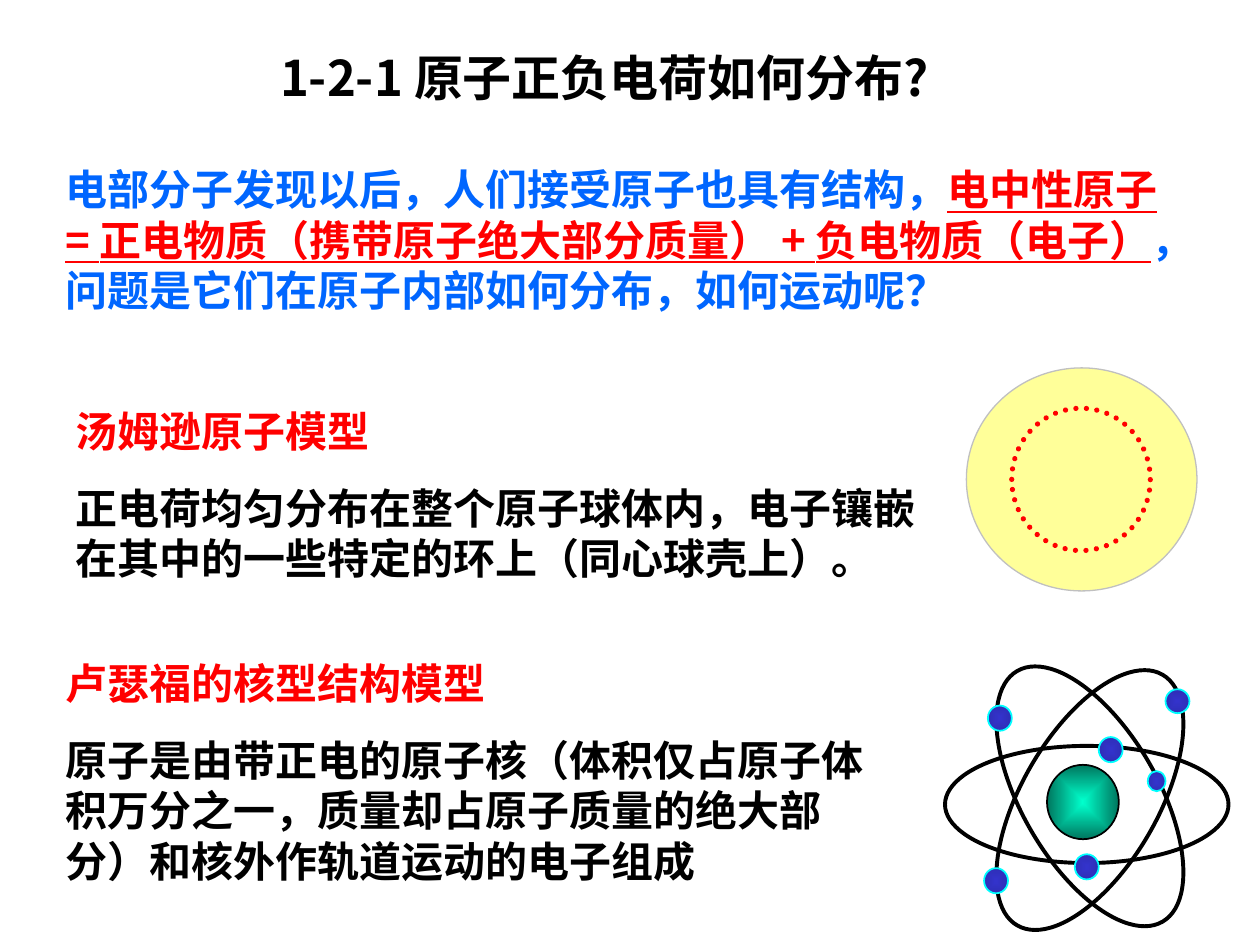
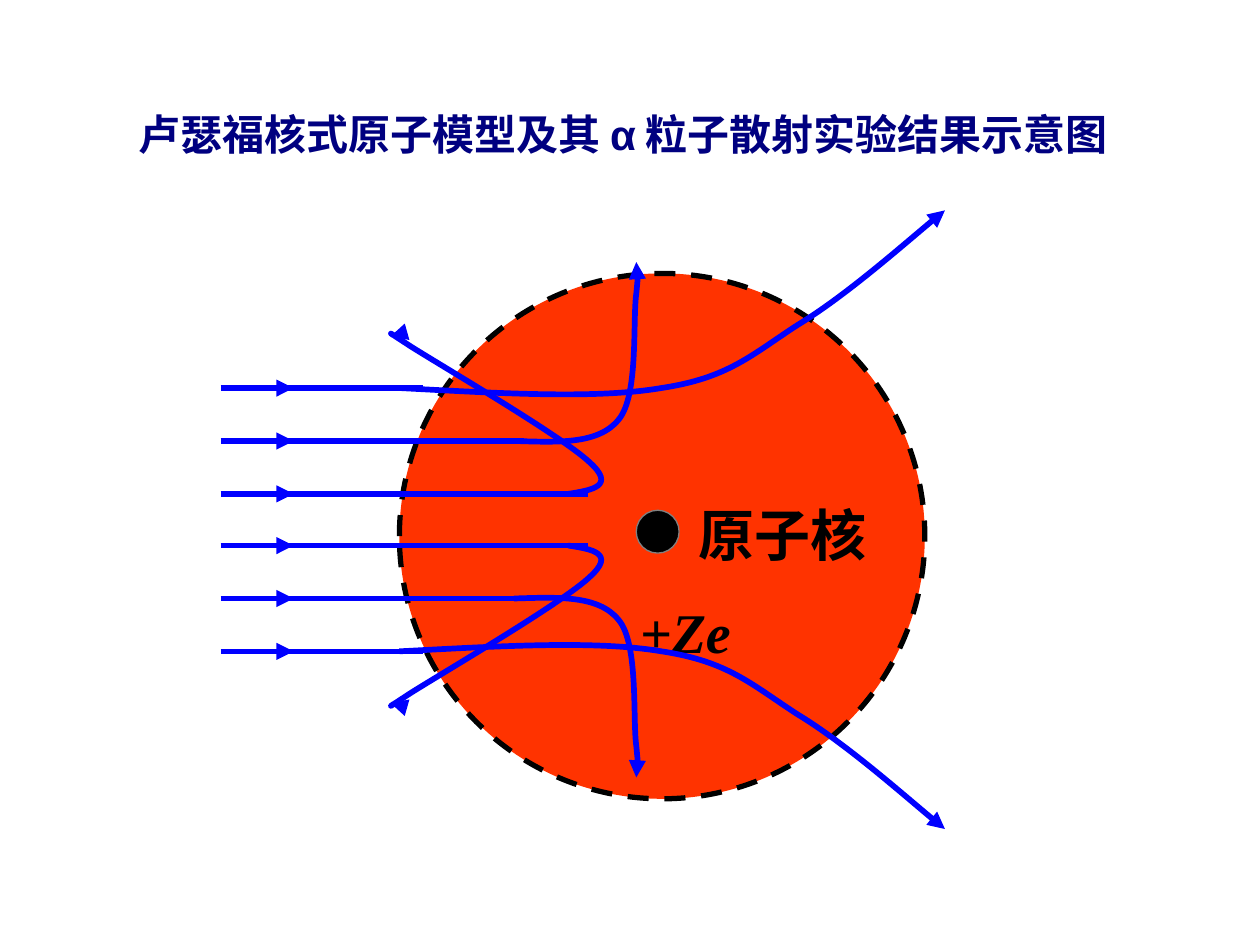
import pptx
import pptx.dml.color
import pptx.enum.dml
import pptx.enum.shapes
import pptx.enum.text
import pptx.oxml.ns
import pptx.util
from lxml import etree

Inches, Pt = pptx.util.Inches, pptx.util.Pt
qn = pptx.oxml.ns.qn
hue = pptx.dml.color.RGBColor.from_string
DASH = pptx.enum.dml.MSO_LINE
OVAL = pptx.enum.shapes.MSO_SHAPE.OVAL
LINE = pptx.enum.shapes.MSO_CONNECTOR.STRAIGHT
MID = pptx.enum.text.PP_ALIGN.CENTER

# Shared colours and fonts
BLACK, RED, BLUE, SKY, NAVY = "000000", "FF0000", "0000FF", "0066FF", "000080"
HAN, SERIF, SANS = "Noto Sans CJK SC", "Times New Roman", "Arial"


def write(frame, text, size=24, color=BLACK, font=HAN, italic=False,
          under=False, align=None, before=0, new=False):
    """Add a bold run, in a new paragraph if asked."""
    para = frame.add_paragraph() if new else frame.paragraphs[-1]
    para.space_before = Pt(before)
    if align is not None:
        para.alignment = align
    run = para.add_run()
    run.text = text
    face = run.font
    face.size, face.name, face.bold = Pt(size), font, True
    face.italic, face.underline = italic, under
    face.color.rgb = hue(color)
    east = etree.SubElement(run._r.get_or_add_rPr(), qn("a:ea"))
    east.set("typeface", HAN)


def paint(shape, line, width, fill=None, edge=None, dash=None, arrow=False):
    """Style a shape or line; edge makes the fill a gradient."""
    props = shape._element.spPr
    shape.line.color.rgb = hue(line)
    shape.line.width = Pt(width)
    if dash:
        shape.line.dash_style = dash
    if arrow:
        etree.SubElement(shape.line._get_or_add_ln(), qn("a:tailEnd")).set("type", "triangle")
    if hasattr(shape, "fill"):
        shape.shadow.inherit = False
        if edge:
            shape.fill.gradient()
            for stop, tone in zip(shape.fill.gradient_stops, (fill, edge)):
                stop.color.rgb = hue(tone)
            grad = props.find(qn("a:gradFill"))
            grad.remove(grad.find(qn("a:lin")))
            glow = etree.SubElement(grad, qn("a:path"))
            glow.set("path", "rect")
            rect = etree.SubElement(glow, qn("a:fillToRect"))
            for side in "ltrb":
                rect.set(side, "50000")
        elif fill:
            shape.fill.solid()
            shape.fill.fore_color.rgb = hue(fill)
        else:
            shape.fill.background()
    else:
        etree.SubElement(props, qn("a:effectLst"))


deck = pptx.Presentation()
deck.slide_width, deck.slide_height = Inches(10), Inches(7.5)

# Both slides with their titles
heads = [
    ((2.03, 0.33, 5.62, 0.57), 28, BLACK, [("1-2-1 原子正负电荷如何分布? ", HAN)]),
    ((1, 0.81, 7.89, 0.92), 24, NAVY,
     [("卢瑟福核式原子模型及其 ", HAN), ("α", SANS), (" 粒子散射实验结果示意图", HAN)]),
]
for place, size, color, runs in heads:
    slide = deck.slides.add_slide(deck.slide_layouts[5])
    title = slide.shapes.title
    title.left, title.top, title.width, title.height = map(Inches, place)
    frame = title.text_frame
    frame.auto_size = pptx.enum.text.MSO_AUTO_SIZE.NONE
    frame.vertical_anchor = pptx.enum.text.MSO_ANCHOR.TOP
    frame.word_wrap = True
    for text, font in runs:
        write(frame, text, size=size, color=color, font=font, align=MID)
first, second = (slide.shapes for slide in deck.slides)

# Slide 1: ball with its ring of electrons
ball = first.add_shape(OVAL, *map(Inches, (7.67, 2.92, 1.83, 1.77)))
paint(ball, "C0C0C0", 0.75, fill="FFFF99")
ring = first.add_shape(OVAL, *map(Inches, (8.03, 3.24, 1.1, 1.13)))
paint(ring, RED, 3, fill="FFFF99", dash=DASH.ROUND_DOT)
ring.line._get_or_add_ln().set("cap", "rnd")

# Slide 1: core, orbits and electrons
core = first.add_shape(OVAL, *map(Inches, (8.31, 6.07, 0.57, 0.59)))
paint(core, BLACK, 1, fill="00FFCC", edge="00765E")
for place, turn in [((8.11, 5.2, 1.08, 2.3), 30.1),
                    ((7.5, 5.92, 2.25, 0.93), 0),
                    ((8.11, 5.17, 1.08, 2.3), 329.9)]:
    orbit = first.add_shape(OVAL, *map(Inches, place))
    orbit.rotation = turn
    paint(orbit, BLACK, 2.25)
for left, top, wide, high in [(9.25, 5.47, 0.19, 0.19), (8.53, 6.78, 0.19, 0.2),
                              (7.81, 6.89, 0.19, 0.2), (8.72, 5.85, 0.19, 0.2),
                              (7.84, 5.6, 0.19, 0.2), (9.11, 6.12, 0.14, 0.16)]:
    dot = first.add_shape(OVAL, Inches(left), Inches(top), Inches(wide), Inches(high))
    paint(dot, "00FFFF", 1, fill="3333CC", edge="2E2EB6")

# Slide 1: the two models
models = [
    ((0.5, 3.17, 6.92, 1.51), "汤姆逊原子模型", HAN,
     "正电荷均匀分布在整个原子球体内，电子镶嵌在其中的一些特定的环上（同心球壳上）。"),
    ((0.42, 5.17, 6.75, 1.91), "卢瑟福的核型结构模型", SERIF,
     "原子是由带正电的原子核（体积仅占原子体积万分之一，质量却占原子质量的绝大部分）"
     "和核外作轨道运动的电子组成"),
]
for place, name, font, text in models:
    frame = first.add_textbox(*map(Inches, place)).text_frame
    frame.word_wrap = True
    write(frame, name, color=RED, font=font, before=15)
    write(frame, text, before=15, new=True)

# Slide 1: opening question
frame = first.add_textbox(*map(Inches, (0.42, 1.25, 9.08, 1.3))).text_frame
frame.word_wrap = True
write(frame, "电部分子发现以后，人们接受原子也具有结构，", color=SKY)
write(frame, "电中性原子 = 正电物质（携带原子绝大部分质量） + 负电物质（电子）",
      color=RED, under=True)
write(frame, "，问题是它们在原子内部如何分布，如何运动呢？", color=SKY)

# Slide 2: atom, nucleus and labels
atom = second.add_shape(OVAL, *map(Inches, (3.17, 2.17, 4.17, 4.17)))
paint(atom, BLACK, 3, fill="FF3300", dash=DASH.DASH)
core = second.add_shape(OVAL, *map(Inches, (5.05, 4.05, 0.34, 0.34)))
paint(core, "808080", 0.75, fill=BLACK)
for place, text, italic, before, wrap in [
        ((4.98, 4.69, 0.92, 0.64), "+Ze", True, 8, False),
        ((5.42, 3.92, 1.58, 0.64), "原子核", False, 20, True)]:
    frame = second.add_textbox(*map(Inches, place)).text_frame
    frame.word_wrap = wrap
    write(frame, text, size=32, font=SERIF, italic=italic, align=MID, before=before)

# Slide 2: each ray has a height, a straight span and a curve (start, then Bezier points)
rays = [
    (3.92, 1.83, 4.67, [(4.51, 3.92), (4.7, 3.89), (4.89, 3.86), (4.68, 3.67), (4.47, 3.47),
                        (3.53, 2.92), (3.26, 2.75), (3, 2.58), (3.05, 2.62), (3.1, 2.67)]),
    (3.5, 2.14, 4.16, [(4.08, 3.5), (4.42, 3.51), (4.75, 3.53), (4.91, 3.33), (5.07, 3.14),
                       (5.02, 2.54), (5.05, 2.33), (5.07, 2.12), (5.05, 2.14), (5.05, 2.08)]),
    (3.08, 2.25, 3.36, [(3.17, 3.08), (3.94, 3.12), (4.72, 3.17), (5.25, 3.08), (5.78, 3),
                        (5.96, 2.82), (6.33, 2.58), (6.71, 2.35), (7.31, 1.82), (7.5, 1.67)]),
]
AXIS = 8.25  # the lower half mirrors y to AXIS - y
for flip in (False, True):
    for level, start, end, knots in rays:
        # Curved path, its segments joined in threes into Bezier curves
        points = [(Inches(x), Inches(AXIS - y if flip else y)) for x, y in knots]
        pen = second.build_freeform(*points[0])
        pen.add_line_segments(points[1:], close=False)
        curve = pen.convert_to_shape()
        route = curve._element.find(".//" + qn("a:path"))
        steps = route.findall(qn("a:lnTo"))
        for i in range(0, len(steps), 3):
            bend = etree.SubElement(route, qn("a:cubicBezTo"))
            for step in steps[i:i + 3]:
                bend.append(step[0])
                route.remove(step)
        paint(curve, BLUE, 3.25, arrow=True)

        # Straight beam and its arrow
        y = Inches(AXIS - level if flip else level)
        for left, right, arrow in [(start, end, False), (1.75, 2.33, True)]:
            beam = second.add_connector(LINE, Inches(left), y, Inches(right), y)
            paint(beam, BLUE, 3.25, arrow=arrow)

deck.save("out.pptx")
